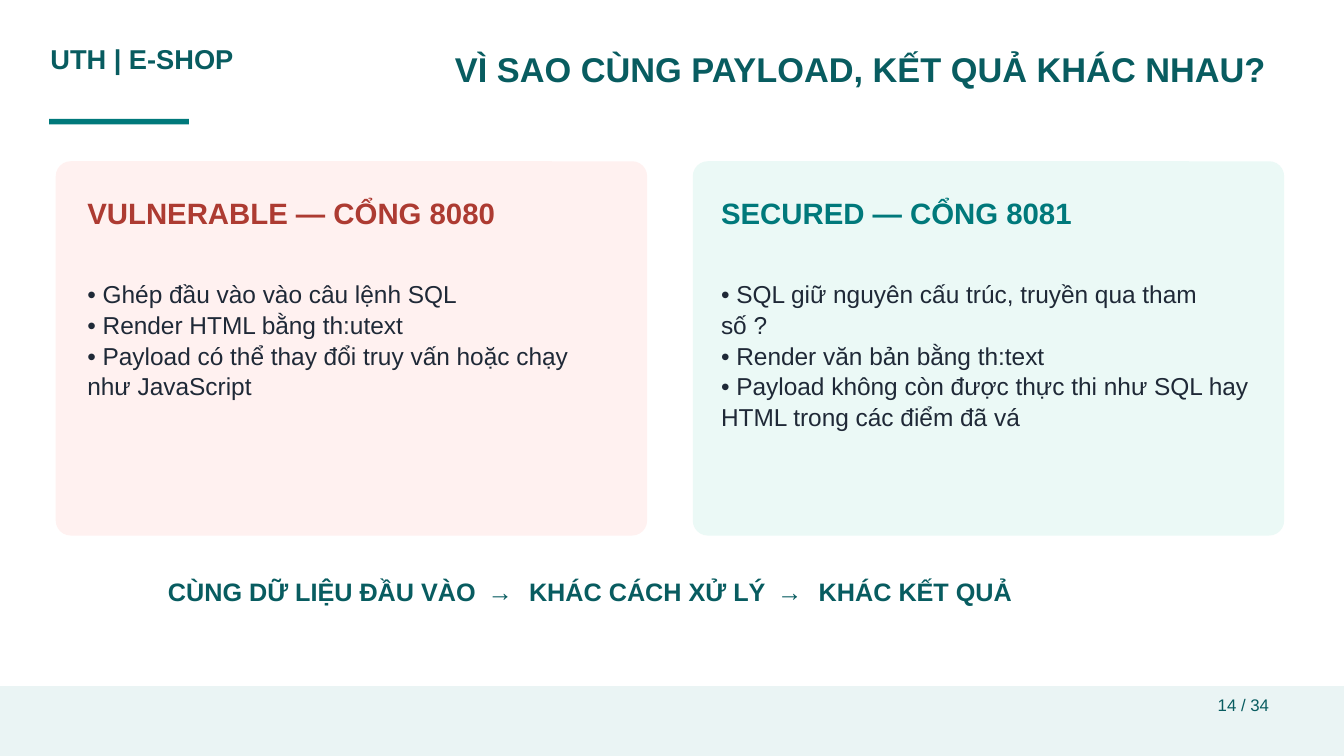
from pptx import Presentation
from pptx import util as u
from pptx.dml.color import RGBColor
from pptx.enum import shapes, text

INK = {
    "deep": "085C60", "teal": "00797B", "red": "AD3B32", "body": "1F2937",
    "rose": "FFF1F0", "mint": "EBF9F6", "foot": "EAF4F4", "white": "FFFFFF",
}
# size, line pitch, colour, bold
TYPE = {
    "title": (36.8, 45.9, "deep", True),
    "brand": (29.2, 40.9, "deep", True),
    "flow": (27, 33.8, "deep", True),
    "body": (26.2, 32.8, "body", False),
    "page": (18, 25.2, "deep", False),
    "bad": (31.5, 39.4, "red", True),
    "good": (31.5, 39.4, "teal", True),
}
ARROW = " → "
# card left, text left, fill, head style, head, body lines, points
CARDS = [
    (4.15, 6.5, "rose", "bad", "VULNERABLE — CỔNG 8080", 4, [
        "• Ghép đầu vào vào câu lệnh SQL",
        "• Render HTML bằng th:utext",
        "• Payload có thể thay đổi truy vấn hoặc chạy như JavaScript"]),
    (51.55, 53.65, "mint", "good", "SECURED — CỔNG 8081", 5, [
        "• SQL giữ nguyên cấu trúc, truyền qua tham số ?",
        "• Render văn bản bằng th:text",
        "• Payload không còn được thực thi như SQL hay HTML trong các điểm đã vá"]),
]


def tint(name):
    return RGBColor.from_string(INK[name])


class Deck:
    """Places elements by boxes given in percent of the slide's size."""

    def __init__(self, wide, high):
        self.prs = Presentation()
        self.prs.slide_width, self.prs.slide_height = u.Inches(wide), u.Inches(high)
        self.slide = self.prs.slides.add_slide(self.prs.slide_layouts[5])
        self.slide.background.fill.solid()
        self.slide.background.fill.fore_color.rgb = tint("white")

    def place(self, box):
        wide, high = self.prs.slide_width, self.prs.slide_height
        return [round(n * side / 100) for n, side in zip(box, (wide, high) * 2)]

    def fill(self, frame, lines, style):
        """Fill a frame; each line is a list of runs."""
        size, pitch, hue, bold = TYPE[style]
        form = {"word_wrap": True, "auto_size": text.MSO_AUTO_SIZE.NONE,
                "vertical_anchor": text.MSO_ANCHOR.TOP, "margin_left": 0,
                "margin_right": 0, "margin_top": 0, "margin_bottom": 0}
        for key, val in form.items():
            setattr(frame, key, val)
        for num, line in enumerate(lines):
            para = frame.add_paragraph() if num else frame.paragraphs[0]
            para.alignment = text.PP_ALIGN.LEFT
            para.line_spacing = u.Pt(pitch)
            for part in line:
                run = para.add_run()
                run.text = part
                for key, val in {"name": "Arial", "size": u.Pt(size), "bold": bold}.items():
                    setattr(run.font, key, val)
                run.font.color.rgb = tint(hue)
                if part == ARROW:
                    run._r.get_or_add_rPr().set("spc", "500")

    def title(self, box, words):
        hold = self.slide.shapes.title
        hold.left, hold.top, hold.width, hold.height = self.place(box)
        self.fill(hold.text_frame, [[words]], "title")

    def label(self, box, lines, style):
        item = self.slide.shapes.add_textbox(*self.place(box))
        self.fill(item.text_frame, lines, style)

    def block(self, box, hue, curve=0):
        kind = shapes.MSO_SHAPE.ROUNDED_RECTANGLE if curve else shapes.MSO_SHAPE.RECTANGLE
        item = self.slide.shapes.add_shape(kind, *self.place(box))
        if curve:
            item.adjustments[0] = curve
        item.shadow.inherit = False
        item.fill.solid()
        item.fill.fore_color.rgb = tint(hue)
        item.line.fill.background()


def main():
    deck = Deck(20, 11.25)
    deck.title((33.85, 6.13, 62.5, 5.78), "VÌ SAO CÙNG PAYLOAD, KẾT QUẢ KHÁC NHAU?")
    deck.label((3.75, 4.89, 25.25, 4.89), [["UTH | E-SHOP"]], "brand")
    deck.block((3.65, 15.73, 10.4, 0.71), "teal")

    for left, inner, hue, style, head, rows, points in CARDS:
        deck.block((left, 21.33, 44, 49.51), hue, 0.04)
        deck.label((inner, 25.6, 39.6, 4.98), [[head]], style)
        deck.label((inner, 36.8, 39.3, 4 * rows), [[p] for p in points], "body")

    flow = ["CÙNG DỮ LIỆU ĐẦU VÀO", ARROW, "KHÁC CÁCH XỬ LÝ", ARROW, "KHÁC KẾT QUẢ"]
    deck.label((12.5, 76.09, 75.5, 4.27), [flow], "flow")
    deck.block((0, 90.76, 100, 9.24), "foot")
    deck.label((90.6, 91.47, 6.75, 3.2), [["14 / 34"]], "page")
    deck.prs.save("out.pptx")


if __name__ == "__main__":
    main()
